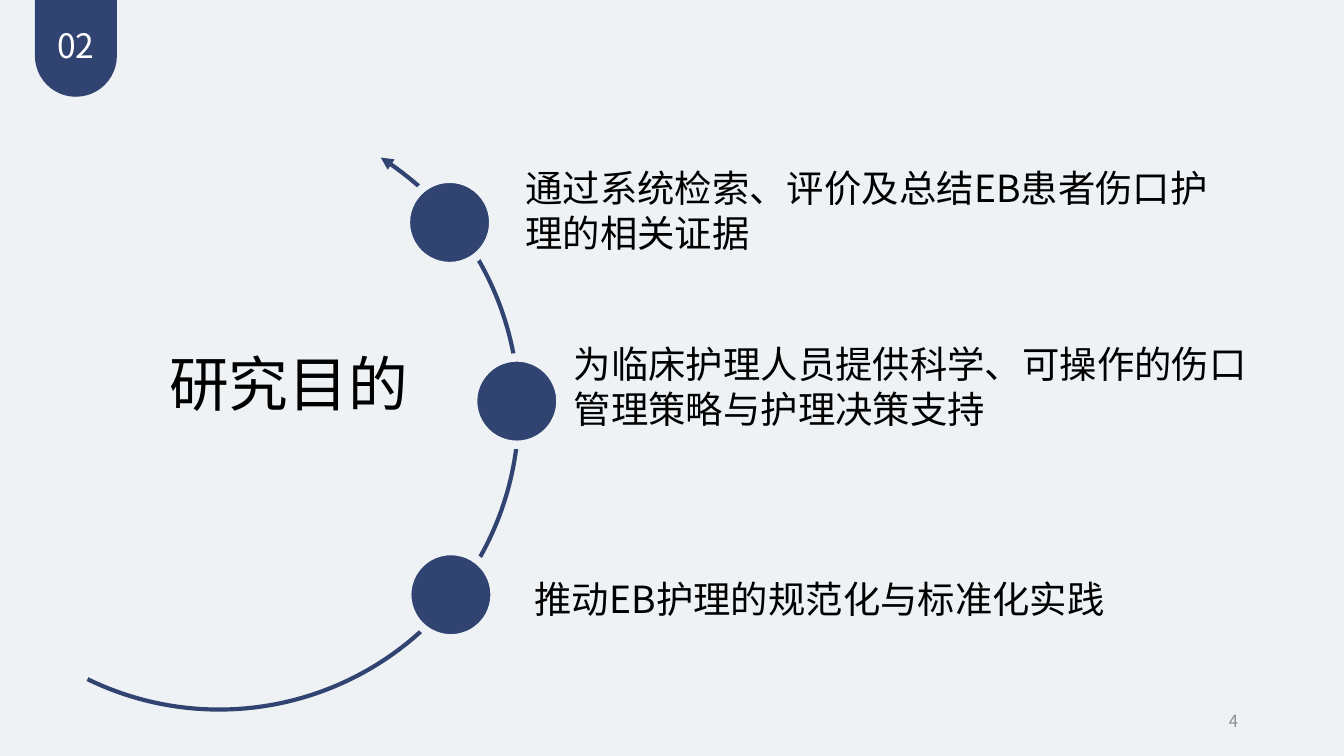
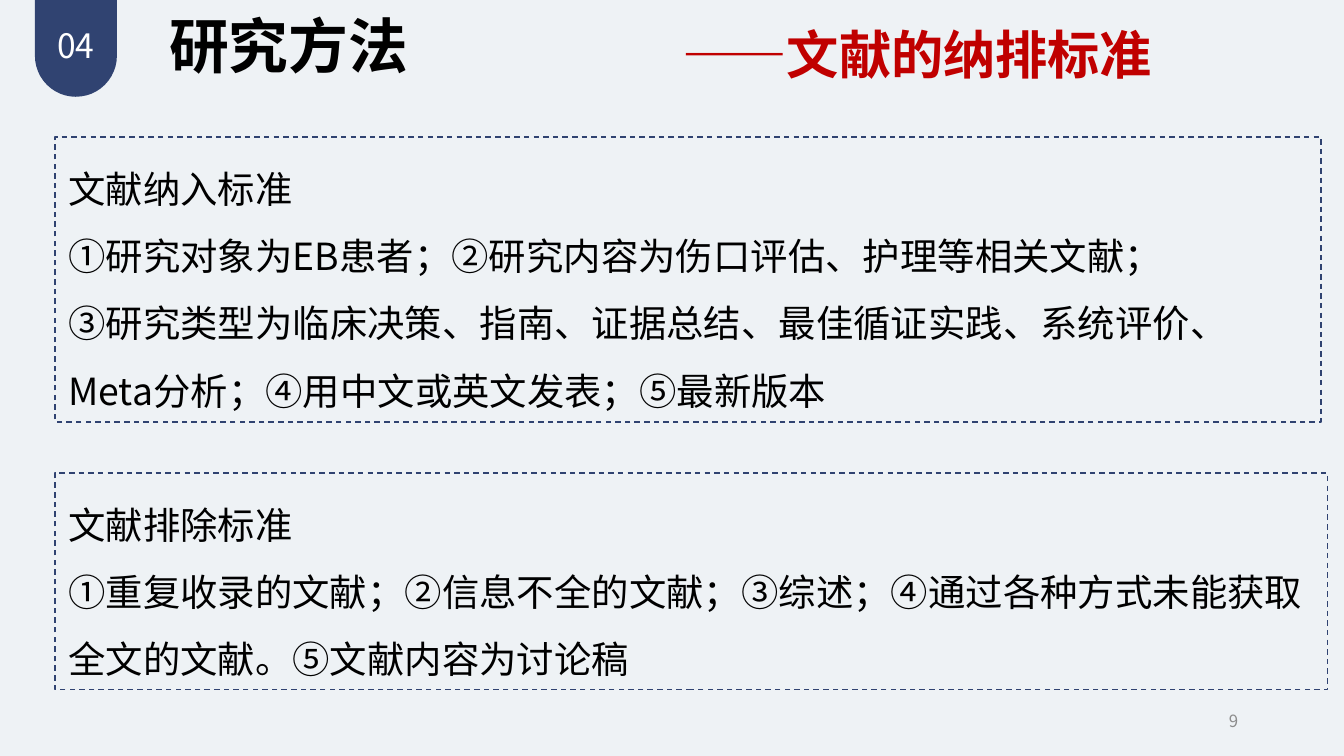
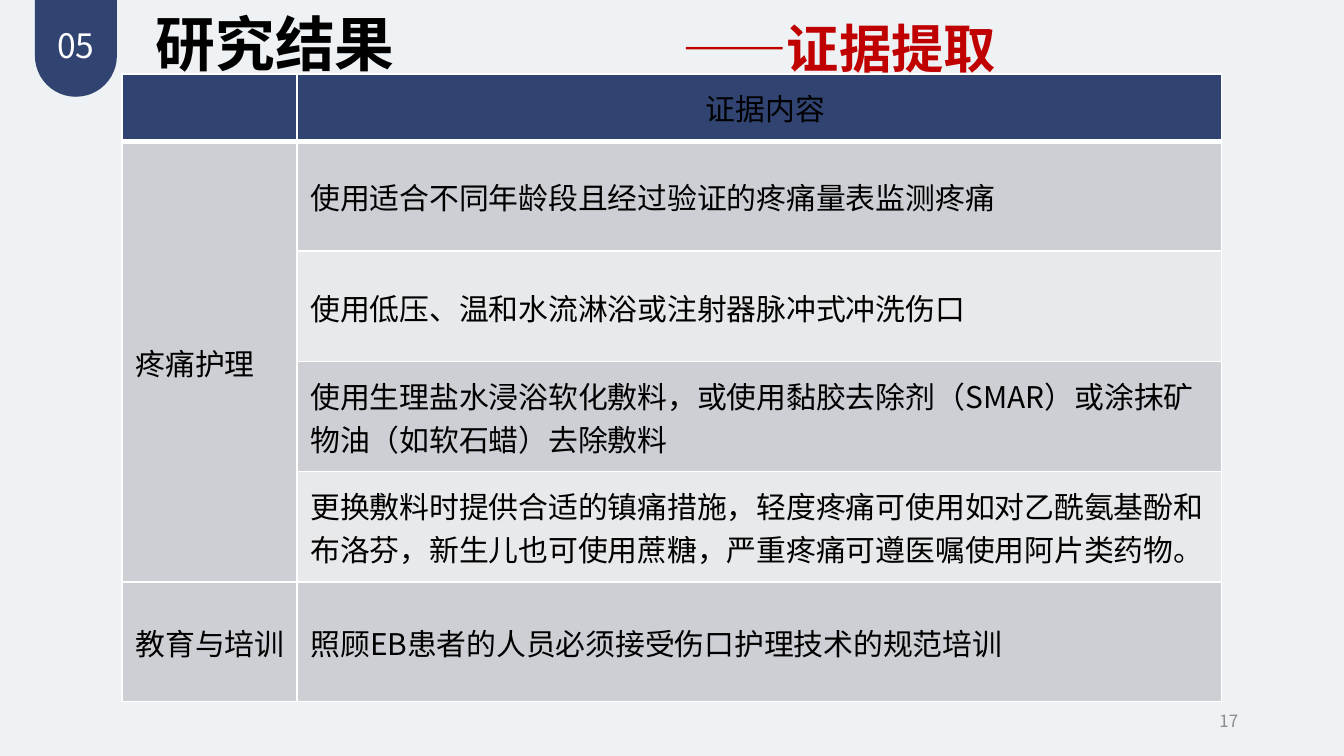
from dataclasses import dataclass

from lxml import etree
from pptx import Presentation
from pptx import util as u
from pptx.dml.color import RGBColor
from pptx.enum import dml, shapes, text
from pptx.oxml.ns import qn

PX = 9144  # EMU per px: 100 px to the inch
KIND = shapes.MSO_SHAPE
ALIGN = text.PP_ALIGN
ANCHOR = text.MSO_ANCHOR


@dataclass(frozen=True)
class Theme:
    font: str = "Noto Sans CJK SC"
    back: str = "EEF2F5"
    navy: str = "304371"
    red: str = "C00000"
    black: str = "000000"
    white: str = "FFFFFF"
    gray: str = "8C8C8C"
    dark: str = "CDCFD5"
    light: str = "E8E9EB"
    title: int = 32
    sub: int = 28
    body: int = 20
    badge: int = 18
    cell: int = 16
    page: int = 9


T = Theme()


def rgb(code):
    return RGBColor.from_string(code)


def box(*nums):
    return [n * PX for n in nums]


def paint(item, color):
    item.fill.solid()
    item.fill.fore_color.rgb = rgb(color)


def write(frame, lines, size, color=T.black, bold=False,
          align=ALIGN.LEFT, space=None):
    """Fill a text frame with one styled run per line."""
    for i, line in enumerate(lines):
        para = frame.paragraphs[0] if i == 0 else frame.add_paragraph()
        para.alignment = align
        if space:
            para.line_spacing = space
        run = para.add_run()
        run.text = line
        font = run.font
        font.size, font.bold, font.name = u.Pt(size), bold, T.font
        font.color.rgb = rgb(color)
        etree.SubElement(run._r.rPr, qn("a:ea"), typeface=T.font)


def label(slide, at, line, size, wrap=True, grow=True, anchor=ANCHOR.TOP,
          **style):
    frame = slide.shapes.add_textbox(*box(*at)).text_frame
    frame.word_wrap = wrap
    frame.vertical_anchor = anchor
    if grow:
        frame.auto_size = text.MSO_AUTO_SIZE.SHAPE_TO_FIT_TEXT
    write(frame, [line], size, **style)


def shape(slide, kind, at, fill=None, line=None, width=1):
    item = slide.shapes.add_shape(kind, *box(*at))
    item.shadow.inherit = False
    if fill:
        paint(item, fill)
    else:
        item.fill.background()
    if line:
        item.line.color.rgb = rgb(line)
        item.line.width = u.Pt(width)
    else:
        item.line.fill.background()
    return item


def page(deck, part, number):
    """Add a slide with the section tab and the page number."""
    slide = deck.slides.add_slide(deck.slide_layouts[6])
    paint(slide.background, T.back)
    tab = shape(slide, KIND.ROUND_2_SAME_RECTANGLE, (26, 0, 61, 72), T.navy)
    tab.adjustments[0], tab.adjustments[1] = 0, 0.5
    label(slide, (32, 14, 49, 40), part, T.badge, wrap=False,
          color=T.white, align=ALIGN.CENTER)
    label(slide, (706, 521, 225, 30), number, T.page, grow=False,
          anchor=ANCHOR.MIDDLE, color=T.gray, align=ALIGN.RIGHT)
    return slide


def heading(slide, left, top, title, sub, sub_top):
    label(slide, (left, top, 445, 64), title, T.title, bold=True)
    label(slide, (498, sub_top, 433, 57), sub, T.sub, color=T.red, bold=True)


def curve(slide, at, start, end):
    """Draw an arc between two angles in degrees, arrowhead at its start."""
    arc = shape(slide, KIND.ARC, at, line=T.navy, width=2.25)
    for i, angle in enumerate((start, end)):
        arc.adjustments[i] = angle * 0.6
    etree.SubElement(arc.line._get_or_add_ln(), qn("a:headEnd"),
                     type="triangle")


def panel(slide, at, lines):
    item = shape(slide, KIND.RECTANGLE, at, line=T.navy, width=0.75)
    item.line.dash_style = dml.MSO_LINE.DASH
    frame = item.text_frame
    frame.word_wrap = True
    frame.vertical_anchor = ANCHOR.TOP
    frame.auto_size = text.MSO_AUTO_SIZE.SHAPE_TO_FIT_TEXT
    write(frame, lines, T.body, space=1.5)


def border(cell, top=1, bottom=1):
    props = cell._tc.get_or_add_tcPr()
    sides = (("L", 1), ("R", 1), ("T", top), ("B", bottom))
    for i, (side, width) in enumerate(sides):
        edge = etree.Element(qn(f"a:ln{side}"), w=str(u.Pt(width)))
        fill = etree.SubElement(edge, qn("a:solidFill"))
        etree.SubElement(fill, qn("a:srgbClr"), val=T.white)
        props.insert(i, edge)


def fill_cell(cell, line, color, head=False):
    paint(cell, color)
    cell.vertical_anchor = ANCHOR.MIDDLE
    if not head:
        cell.margin_left = cell.margin_right = cell.margin_top = PX
        cell.margin_bottom = 0
    if line:
        write(cell.text_frame, [line], T.cell,
              align=ALIGN.CENTER if head else ALIGN.LEFT)
        para = cell.text_frame.paragraphs[0]
        para._p.get_or_add_pPr().set("marL", str(9 * PX))


def grid(slide, left, top, cols, rows, data):
    """Add a table whose first row is the head and whose body is banded."""
    table = slide.shapes.add_table(
        len(rows), len(cols), *box(left, top, sum(cols), sum(rows))).table
    table.first_row = table.horz_banding = False
    for col, width in zip(table.columns, cols):
        col.width = width * PX
    for r, high in enumerate(rows):
        table.rows[r].height = high * PX
        band = T.navy if r == 0 else T.dark if r % 2 else T.light
        for c, line in enumerate(data[r]):
            cell = table.cell(r, c)
            fill_cell(cell, line, band, r == 0)
            border(cell, 3 if r == 1 else 1, 3 if r == 0 else 1)
    return table


def aims(deck):
    slide = page(deck, "02", "4")
    curve(slide, (-60, 82, 446, 446), 302.67, 116.03)
    label(slide, (116, 253, 198, 64), "研究目的", T.title)
    goals = (
        ((302, 133), (381, 118, 548, 111),
         "通过系统检索、评价及总结EB患者伤口护理的相关证据"),
        ((352, 266), (417, 249, 548, 77),
         "为临床护理人员提供科学、可操作的伤口管理策略与护理决策支持"),
        ((303, 410), (388, 424, 543, 44),
         "推动EB护理的规范化与标准化实践"),
    )
    for dot, at, goal in goals:
        shape(slide, KIND.OVAL, (*dot, 65, 65), T.navy, T.back, 4.5)
        label(slide, at, goal, T.body)


def methods(deck):
    slide = page(deck, "04", "9")
    panel(slide, (41, 102, 942, 212), (
        "文献纳入标准",
        "①研究对象为EB患者；②研究内容为伤口评估、护理等相关文献；",
        "③研究类型为临床决策、指南、证据总结、最佳循证实践、系统评价、"
        "Meta分析；④用中文或英文发表；⑤最新版本"))
    panel(slide, (41, 352, 947, 161), (
        "文献排除标准",
        "①重复收录的文献；②信息不全的文献；③综述；④通过各种方式未能获取"
        "全文的文献。⑤文献内容为讨论稿"))
    heading(slide, 116, 2, "研究方法", "——文献的纳排标准", 12)


def results(deck):
    slide = page(deck, "05", "17")
    heading(slide, 106, 0, "研究结果", "——证据提取", 7)
    data = (
        ("", "证据内容"),
        ("疼痛护理", "使用适合不同年龄段且经过验证的疼痛量表监测疼痛"),
        ("", "使用低压、温和水流淋浴或注射器脉冲式冲洗伤口"),
        ("", "使用生理盐水浸浴软化敷料，或使用黏胶去除剂（SMAR）或涂抹"
             "矿物油（如软石蜡）去除敷料"),
        ("", "更换敷料时提供合适的镇痛措施，轻度疼痛可使用如对乙酰氨基酚和"
             "布洛芬，新生儿也可使用蔗糖，严重疼痛可遵医嘱使用阿片类药物。"),
        ("教育与培训", "照顾EB患者的人员必须接受伤口护理技术的规范培训"),
    )
    table = grid(slide, 91, 55, (130, 688), (50, 82, 82, 82, 82, 89), data)
    table.cell(1, 0).merge(table.cell(4, 0))


def main():
    deck = Presentation()
    deck.slide_width = 1000 * PX
    deck.slide_height = deck.slide_width * 9 // 16
    for build in (aims, methods, results):
        build(deck)
    deck.save("out.pptx")


if __name__ == "__main__":
    main()
